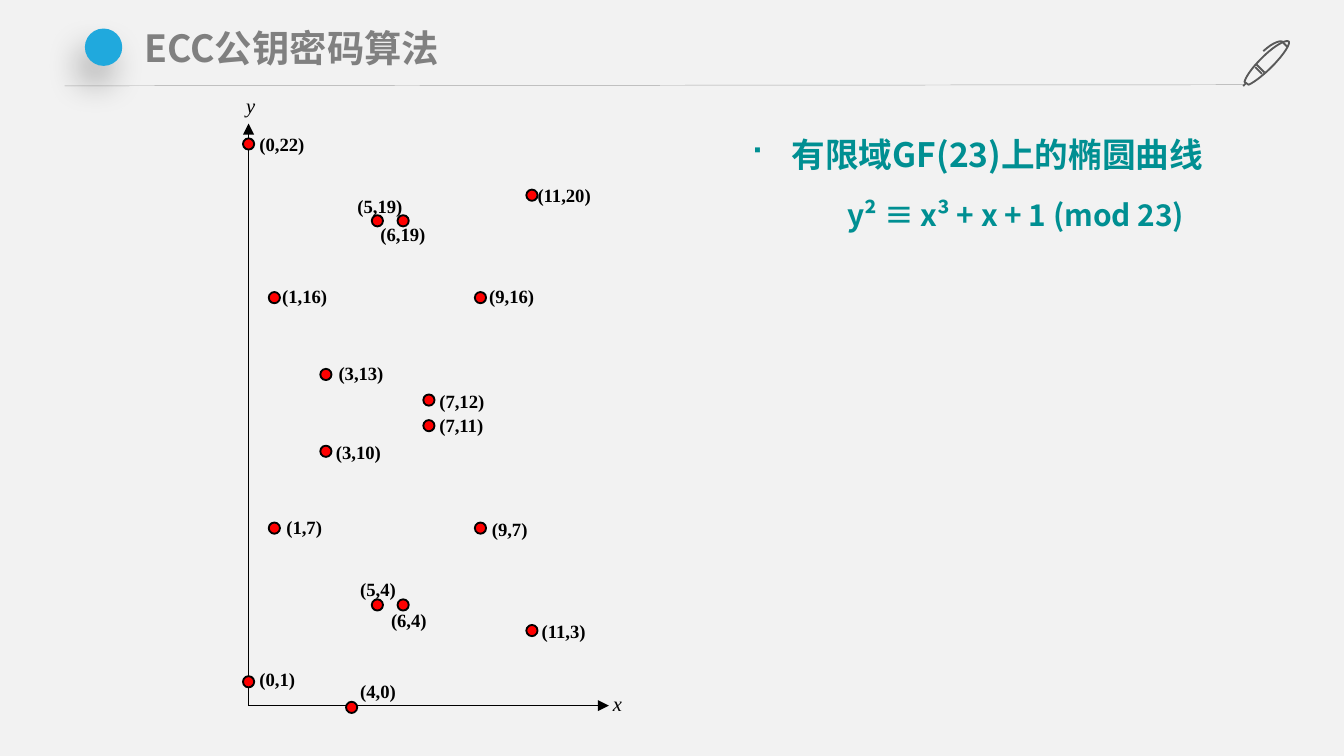
from lxml.etree import SubElement
from pptx import Presentation
from pptx.dml.color import RGBColor
from pptx.enum.shapes import MSO_CONNECTOR, MSO_SHAPE
from pptx.enum.text import MSO_AUTO_SIZE, PP_ALIGN
from pptx.oxml import parse_xml
from pptx.oxml.ns import nsdecls, qn
from pptx.util import Pt

SANS, SERIF = "Noto Sans CJK SC", "Times New Roman"
TEAL = "008F92"

# Axis origin, step per unit and dot size
LEFT, BASE = 133.2, 379
STEP_X, STEP_Y = 13.8, 13.72
DOT = 6

# Curve point (x, y), then left and top of its label
POINTS = [
    (5, 19, 191.5, 104.4), (6, 19, 203.8, 119.5), (11, 20, 288, 98.6),
    (11, 3, 290.2, 331.9), (5, 4, 193, 309.6), (6, 4, 209.5, 326.2),
    (9, 16, 262.1, 152.6), (9, 7, 263.5, 277.2), (1, 16, 151.2, 152.6),
    (1, 7, 153.4, 276.5), (3, 13, 181.4, 193.7), (3, 10, 180, 236.2),
    (7, 12, 235.4, 208.8), (7, 11, 235.4, 221.8), (0, 22, 139, 71.3),
    (0, 1, 139, 357.8), (4, 0, 193, 364.3),
]

# Pen strokes: a start point, then lines (2 numbers) or curves (6 numbers)
PEN = [
    [(676.1, 39.6), (672.5, 36)],
    [(673.2, 34.6), (677.5, 38.9)],
    [(690.5, 22.3), (689, 20.9, 682.6, 24.5, 676.1, 31),
     (671, 36, 667.4, 41, 666.7, 43.9), (668.9, 45.4),
     (671, 44.6, 676.1, 41, 681.1, 36),
     (687.6, 29.5, 691.2, 23.8, 690.5, 22.3)],
    [(667.4, 44.6), (666, 46.1)],
    [(689.8, 25.2), (689.8, 25.2, 688.3, 23.8, 686.9, 22.3),
     (686.9, 22.3, 684, 20.9, 676.8, 27.4)],
]


def rgb(code):
    return RGBColor.from_string(code)


def style(par, size, font, color, bold=False, italic=False):
    for run in par.runs:
        face = run.font
        face.size, face.name = Pt(size), font
        face.bold, face.italic = bold, italic
        face.color.rgb = rgb(color)
        SubElement(run._r.get_or_add_rPr(), qn("a:ea"), typeface=font)


def add_text(slide, text, box, size=10, font=SERIF, color="000000",
             bold=False, italic=False, pad=(0, 0), wrap=True):
    shape = slide.shapes.add_textbox(*map(Pt, box))
    frame = shape.text_frame
    frame.word_wrap = wrap
    frame.auto_size = MSO_AUTO_SIZE.SHAPE_TO_FIT_TEXT
    frame.margin_left = frame.margin_right = Pt(pad[0])
    frame.margin_top = frame.margin_bottom = Pt(pad[1])
    frame.text = text
    for par in frame.paragraphs:
        style(par, size, font, color, bold, italic)
    return frame


def add_line(slide, start, end, color, width, arrow=False):
    line = slide.shapes.add_connector(
        MSO_CONNECTOR.STRAIGHT, *map(Pt, start + end))
    line.line.color.rgb = rgb(color)
    line.line.width = Pt(width)
    if arrow:
        SubElement(line.line._get_or_add_ln(), qn("a:tailEnd"), type="triangle")
    SubElement(line._element.spPr, qn("a:effectLst"))


def add_disc(slide, x, y, size, fill, line=None):
    """Draw a circle around its centre."""
    disc = slide.shapes.add_shape(
        MSO_SHAPE.OVAL, Pt(x - size / 2), Pt(y - size / 2), Pt(size), Pt(size))
    disc.shadow.inherit = False
    disc.fill.solid()
    disc.fill.fore_color.rgb = rgb(fill)
    if line:
        disc.line.color.rgb = rgb(line)
        disc.line.width = Pt(1)
    else:
        disc.line.fill.background()
    return disc


def add_glow(shape):
    """Give a shape its soft drop shadow."""
    effects = shape._element.spPr.find(qn("a:effectLst"))
    effects.append(parse_xml(
        f'<a:outerShdw {nsdecls("a")} blurRad="{Pt(18)}" dist="{Pt(11)}" '
        f'dir="{113 * 60000}" algn="ctr" rotWithShape="0">'
        '<a:srgbClr val="000000"><a:alpha val="27000"/></a:srgbClr>'
        '</a:outerShdw>'))


def bend(start, curve, count=10):
    """List the points along a cubic curve."""
    (ax, ay), (bx, by, cx, cy, dx, dy) = start, curve
    dots = []
    for i in range(1, count + 1):
        t = i / count
        u = 1 - t
        mix = u ** 3, 3 * u * u * t, 3 * u * t * t, t ** 3
        dots.append((sum(m * v for m, v in zip(mix, (ax, bx, cx, dx))),
                     sum(m * v for m, v in zip(mix, (ay, by, cy, dy)))))
    return dots


def add_pen(slide):
    unit = 100  # steps per point
    build = None
    for first, *parts in PEN:
        dots = [first]
        for part in parts:
            dots += [part] if len(part) == 2 else bend(dots[-1], part)
        dots = [(x * unit, y * unit) for x, y in dots]
        if build is None:
            build = slide.shapes.build_freeform(*dots[0], scale=Pt(1) / unit)
        else:
            build.move_to(*dots[0])
        build.add_line_segments(dots[1:], close=dots[0] == dots[-1])
    pen = build.convert_to_shape()
    pen.shadow.inherit = False
    pen.fill.background()
    pen.line.color.rgb = rgb("595959")
    pen.line.width = Pt(1)


def add_head(slide):
    add_line(slide, (34.6, 46), (666, 45.4), "A6A6A6", 0.25)
    add_pen(slide)
    add_glow(add_disc(slide, 55.5, 25.3, 20, "20A9DD"))
    add_text(slide, "ECC公钥密码算法", (70.6, 10.1, 595.4, 31), size=20,
             font=SANS, color="808080", bold=True, pad=(6.75, 3.4))


def add_plot(slide):
    # Axes
    for end in ((LEFT, 66.2), (326.2, 378)):
        add_line(slide, (LEFT, 378), end, "000000", 0.75, arrow=True)
    # Points of the curve and their labels
    for x, y, *_ in POINTS:
        add_disc(slide, LEFT + x * STEP_X, BASE - y * STEP_Y, DOT,
                 "FF0000", "000000")
    for x, y, left, top in POINTS:
        add_text(slide, f"({x},{y})", (left, top, 45.4, 12.2), bold=True)
    # Axis names
    for name, left, top in (("y", 131.8, 49.7), ("x", 328.3, 370.1)):
        add_text(slide, name, (left, top, 3.6, 13.7), size=11, italic=True,
                 wrap=False)


def add_notes(slide):
    frame = add_text(slide, "有限域GF(23)上的椭圆曲线", (394.6, 61.9, 299.5, 64.8),
                     size=18, font=SANS, color=TEAL, bold=True, pad=(7.2, 3.6))
    head, rule = frame.paragraphs[0], frame.add_paragraph()
    rule.text = "y² ≡ x³ + x + 1 (mod 23)"
    rule.alignment = PP_ALIGN.CENTER
    rule.space_before = Pt(3)
    style(rule, 16, SANS, TEAL, bold=True)
    for par in (head, rule):
        par.line_spacing = 1.3
        par.space_after = Pt(3)
    # Square bullet
    props = head._p.get_or_add_pPr()
    props.set("marL", str(Pt(22.5)))
    props.set("indent", str(-Pt(22.5)))
    SubElement(props, qn("a:buFont"), typeface="Wingdings")
    SubElement(props, qn("a:buChar"), char="■")


def main():
    deck = Presentation()
    deck.slide_width, deck.slide_height = Pt(720), Pt(405)
    slide = deck.slides.add_slide(deck.slide_layouts[6])
    slide.background.fill.solid()
    slide.background.fill.fore_color.rgb = rgb("F2F2F2")
    add_head(slide)
    add_plot(slide)
    add_notes(slide)
    deck.save("out.pptx")


if __name__ == "__main__":
    main()
